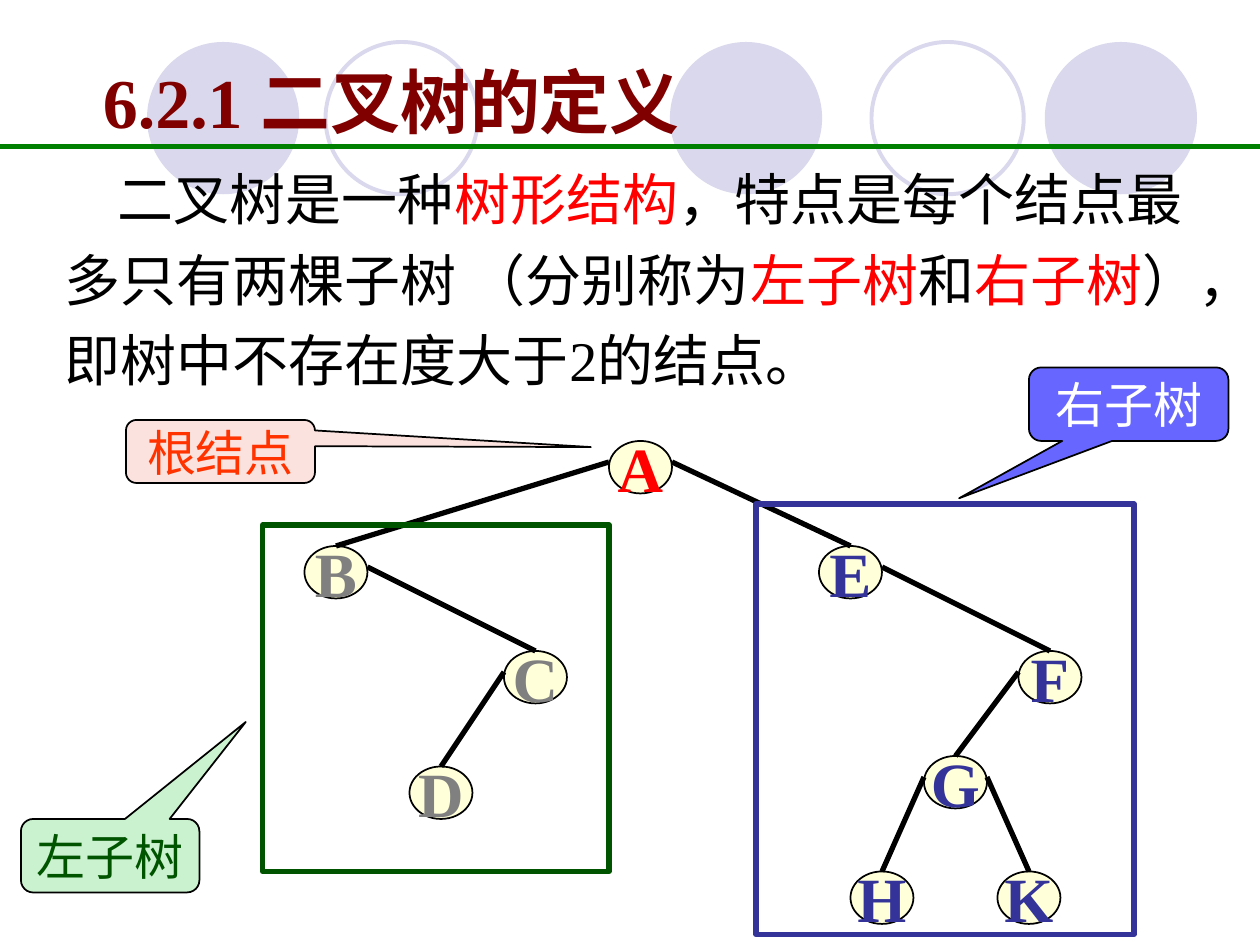
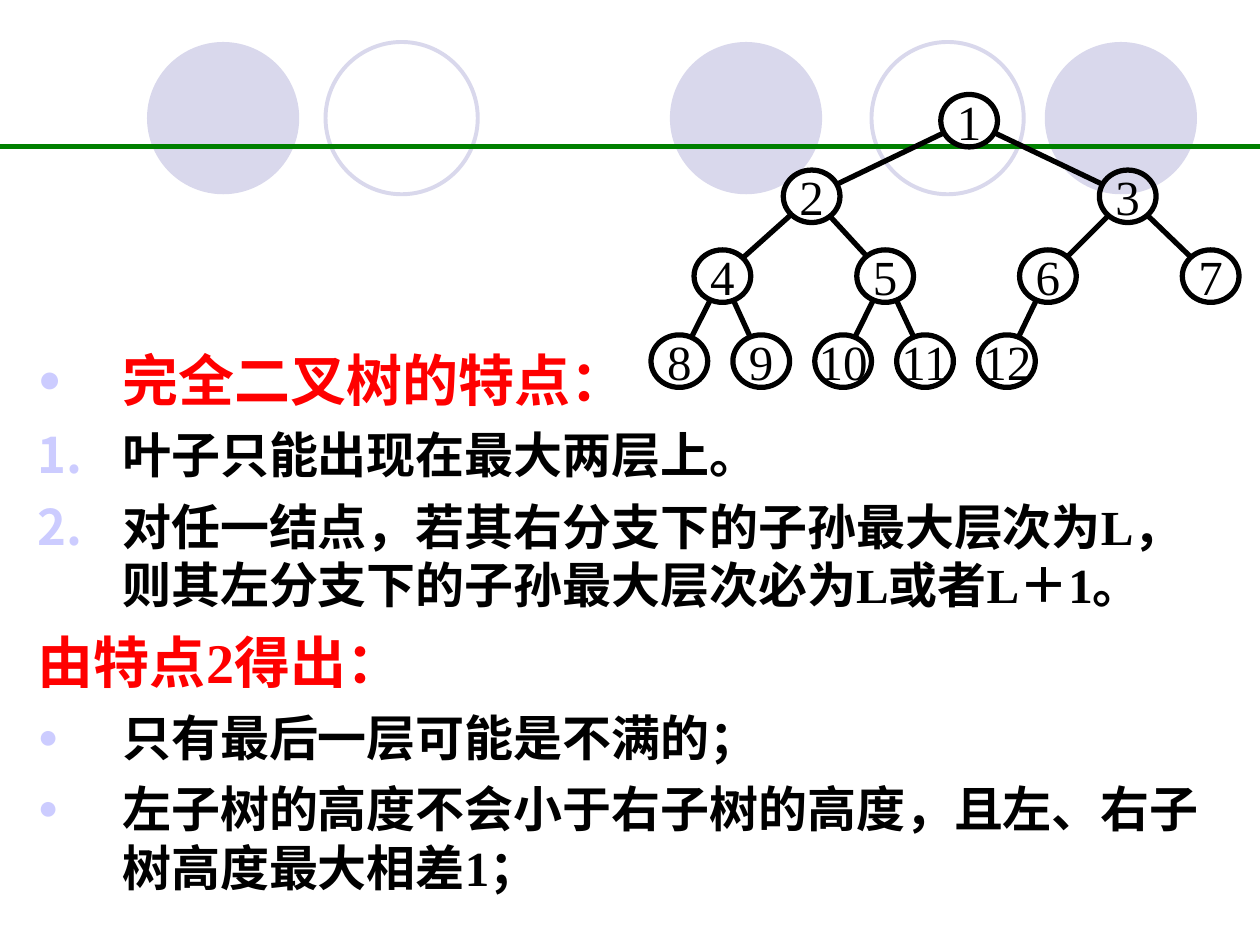
from math import hypot
from lxml import etree
from pptx import Presentation
from pptx import util as u
from pptx.dml.color import RGBColor
from pptx.enum import shapes, text
from pptx.oxml import ns

HUES = {
    "black": "000000", "white": "FFFFFF", "red": "FF0000", "maroon": "800000",
    "gray": "808080", "navy": "333399", "forest": "005400", "green": "008000",
    "lilac": "D9D8EC", "bullet": "CCCCFF", "cream": "FFFFD9", "orange": "FF3300",
    "pink": "FBE2DF", "mint": "CAF2CE", "violet": "6767FF",
}
FONT = "Times New Roman"
KIND = shapes.MSO_SHAPE

deck = Presentation()
deck.slide_width, deck.slide_height = u.Inches(10), u.Inches(7.5)
unit = deck.slide_width / 120


def write(para, words, size, hue, bold=False):
    run = para.add_run()
    run.text = words
    form = {"name": FONT, "size": u.Pt(size), "bold": bold}
    for key, val in form.items():
        setattr(run.font, key, val)
    run.font.color.rgb = RGBColor.from_string(HUES[hue])


def draw(home, kind, box, fill=None, line=None, width=1, label=None):
    spot = [round(n * unit) for n in box]
    if kind == "line":
        item = home.add_connector(shapes.MSO_CONNECTOR.STRAIGHT, *spot)
    else:
        item = home.add_shape(kind, *spot)
        item.shadow.inherit = False
        if fill:
            item.fill.solid()
            item.fill.fore_color.rgb = RGBColor.from_string(HUES[fill])
        else:
            item.fill.background()
    if line:
        item.line.color.rgb = RGBColor.from_string(HUES[line])
        item.line.width = u.Pt(width)
    else:
        item.line.fill.background()
    if kind == "line":
        etree.SubElement(item.element.spPr, ns.qn("a:effectLst"))
    if label:
        frame = item.text_frame
        frame.word_wrap = False
        frame.vertical_anchor = text.MSO_ANCHOR.MIDDLE
        frame.paragraphs[0].alignment = text.PP_ALIGN.CENTER
        write(frame.paragraphs[0], *label)
    return item


page = deck.slides.add_slide(deck.slide_layouts[5])

decor = [draw(page.shapes, KIND.OVAL, (x, 4, 14.5, 14.5), fill="lilac")
         for x in (63.8, 99.5, 14)]
decor += [draw(page.shapes, KIND.OVAL, (x, 4, 14.5, 14.5), line="lilac", width=2.25)
          for x in (83, 31)]
decor.append(draw(page.shapes, "line", (0, 13.95, 120, 13.95), line="green", width=2.5))
for num, item in enumerate(decor, 101):
    item.element.xpath(".//p:cNvPr")[0].set("id", str(num))
    deck.slide_master.shapes.element.append(item.element)

title = page.shapes.title
intro = page.shapes.add_textbox(0, 0, 0, 0)
for item, box in ((title, (8.6, 5, 97.3, 9.2)), (intro, (5, 13.8, 113, 24.2))):
    for key, val in zip(("left", "top", "width", "height"), box):
        setattr(item, key, round(val * unit))
    form = {"word_wrap": True, "auto_size": text.MSO_AUTO_SIZE.NONE,
            "vertical_anchor": text.MSO_ANCHOR.TOP}
    for key, val in form.items():
        setattr(item.text_frame, key, val)
para = title.text_frame.paragraphs[0]
para.alignment = text.PP_ALIGN.LEFT
write(para, "6.2.1 二叉树的定义", 40, "maroon", True)

para = intro.text_frame.paragraphs[0]
para.line_spacing = 1.2
para._p.get_or_add_pPr().set("indent", str(u.Inches(0.42)))
for words, hue in (
    ("二叉树是一种", "black"), ("树形结构", "red"),
    ("，特点是每个结点最多只有两棵子树 （分别称为", "black"),
    ("左子树", "red"), ("和", "black"), ("右子树", "red"),
    ("），即树中不存在度大于2的结点。", "black"),
):
    write(para, words, 32, hue)

nodes = {
    "A": (58, 42, "red"), "B": (29, 52, "gray"), "C": (48, 62, "gray"),
    "D": (39, 73, "gray"), "E": (78, 52, "navy"), "F": (97, 62, "navy"),
    "G": (88, 72, "navy"), "H": (81, 83, "navy"), "K": (95, 83, "navy"),
}
for name, (x, y, hue) in nodes.items():
    draw(page.shapes, KIND.OVAL, (x, y, 6, 5), "cream", "black", 1, (name, 36, hue, True))
for top, low in ("AB", "BC", "CD", "AE", "EF", "FG", "GH", "GK"):
    x, y = nodes[top][:2]
    kid, deep = nodes[low][:2]
    side = x if kid < x else x + 6
    draw(page.shapes, "line", (side, y + 2, kid + 3, deep), line="black", width=3)

for box, hue in (((25, 50, 33, 33), "forest"), ((72, 48, 36, 41), "navy")):
    draw(page.shapes, KIND.RECTANGLE, box, line=hue, width=3)
for words, box, fill, hue, tip in (
    ("根结点", (12, 40, 18, 6), "pink", "orange", (1.96, -0.07)),
    ("左子树", (2, 78, 17, 7), "mint", "forest", (0.76, -1.82)),
    ("右子树", (98, 35, 19, 7), "violet", "white", (-0.85, 1.28)),
):
    note = draw(page.shapes, KIND.ROUNDED_RECTANGULAR_CALLOUT, box, fill, "black", 1,
                (words, 28, hue))
    note.adjustments[0], note.adjustments[1] = tip

page = deck.slides.add_slide(deck.slide_layouts[1])
page.shapes.title.element.getparent().remove(page.shapes.title.element)
body = page.placeholders[1]
for key, val in zip(("left", "top", "width", "height"), (2.4, 32.3, 114.8, 55.8)):
    setattr(body, key, round(val * unit))
frame = body.text_frame
frame.auto_size = text.MSO_AUTO_SIZE.NONE
for num, (mark, words) in enumerate((
    ("dot", "完全二叉树的特点："),
    ("num", "叶子只能出现在最大两层上。"),
    ("num", "对任一结点，若其右分支下的子孙最大层次为L，则其左分支下的子孙最大层次必为L或者L＋1。"),
    ("none", "由特点2得出："),
    ("dot", "只有最后一层可能是不满的；"),
    ("dot", "左子树的高度不会小于右子树的高度，且左、右子树高度最大相差1；"),
)):
    para = frame.add_paragraph() if num else frame.paragraphs[0]
    prop = para._p.get_or_add_pPr()
    prop.set("marL", str(u.Inches(0.67)))
    prop.set("indent", str(-u.Inches(0.67)))
    if mark == "none":
        etree.SubElement(prop, ns.qn("a:buNone"))
    else:
        tint = etree.SubElement(prop, ns.qn("a:buClr"))
        etree.SubElement(tint, ns.qn("a:srgbClr"), val=HUES["bullet"])
        if mark == "dot":
            etree.SubElement(prop, ns.qn("a:buSzPct"), val="70000")
            etree.SubElement(prop, ns.qn("a:buChar"), char="●")
        else:
            etree.SubElement(prop, ns.qn("a:buAutoNum"), type="arabicPeriod")
    head = num in (0, 3)
    para.space_before = u.Pt(0 if num == 0 else 8 if head else 7)
    write(para, words, 32 if head else 28, "red" if head else "black", True)

tree = page.shapes.add_group_shape().shapes
wide, high = 5.4, 5
spots = []
for left, top, step, count in (
    (89.6, 9, 0, 1), (74.6, 16.2, 30.1, 2), (66.1, 23.8, 15.5, 4), (62, 31.9, 7.8, 5),
):
    spots += [(left + step * k, top) for k in range(count)]
for num, (x, y) in enumerate(spots, 1):
    draw(tree, KIND.OVAL, (x, y, wide, high), None, "black", 3, (str(num), 28, "black"))
for kid in range(1, len(spots)):
    x, y = spots[(kid - 1) // 2]
    dx, dy = spots[kid][0] - x, spots[kid][1] - y
    part = 1 / hypot(2 * dx / wide, 2 * dy / high)
    x, y = x + wide / 2, y + high / 2
    ends = [(x + dx * t, y + dy * t) for t in (part, 1 - part)]
    draw(tree, "line", ends[0] + ends[1], line="black", width=3)

deck.save("out.pptx")
